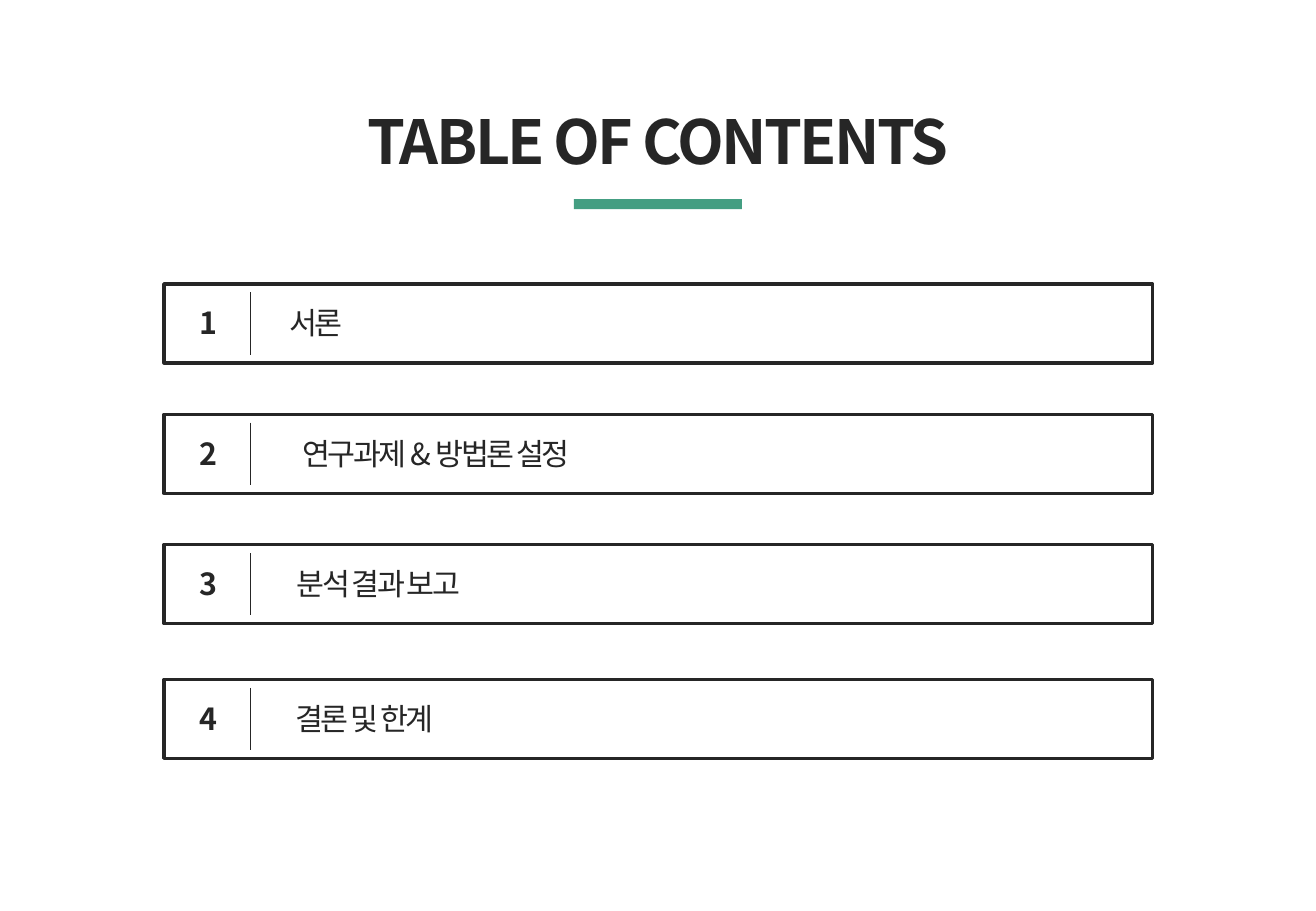
"""Build a table of contents slide with four numbered chapter rows."""
from dataclasses import dataclass

from lxml import etree
from pptx import Presentation
from pptx.dml.color import RGBColor
from pptx.enum.shapes import MSO_CONNECTOR, MSO_SHAPE
from pptx.enum.text import PP_ALIGN
from pptx.oxml.ns import qn
from pptx.shapes.autoshape import Shape
from pptx.slide import Slide
from pptx.util import Pt

RECTANGLE = MSO_SHAPE.RECTANGLE
STRAIGHT = MSO_CONNECTOR.STRAIGHT
LEFT = PP_ALIGN.LEFT
CENTER = PP_ALIGN.CENTER

INK = RGBColor(0x26, 0x26, 0x26)
GREEN = RGBColor(0x44, 0x9E, 0x82)
WHITE = RGBColor(0xFF, 0xFF, 0xFF)
FONT = "Noto Sans CJK KR"
LETTER_SPACING = "-150"

ROW_LEFT, ROW_WIDTH, ROW_HEIGHT = 97.2, 586, 46.8
DIVIDER_LEFT, DIVIDER_INSET, DIVIDER_HEIGHT = 148.4, 5, 36.9
NUMBER_LEFT, NUMBER_WIDTH = 110.9, 24.5
LABEL_INSET, LABEL_HEIGHT = 8.7, 29


@dataclass(frozen=True)
class Chapter:
    title: str
    top: float
    title_left: float
    title_width: float


CHAPTERS = (
    Chapter("서론", 168.3, 164.2, 46),
    Chapter("연구과제 & 방법론 설정", 245.6, 172.2, 190),
    Chapter("분석 결과 보고", 322.8, 168.8, 113),
    Chapter("결론 및 한계", 402.7, 168, 98.6),
)


def add_label(slide: Slide, text: str, left: float, top: float, width: float,
              height: float, size: float, bold: bool = False,
              align: PP_ALIGN = LEFT) -> None:
    label = slide.shapes.add_textbox(Pt(left), Pt(top), Pt(width), Pt(height))
    label.text_frame.word_wrap = False
    paragraph = label.text_frame.paragraphs[0]
    paragraph.text = text
    paragraph.alignment = align
    font = paragraph.font
    font.name = FONT
    font.size = Pt(size)
    font.bold = bold
    font.color.rgb = INK
    properties = paragraph._p.get_or_add_pPr().get_or_add_defRPr()
    properties.set("spc", LETTER_SPACING)
    etree.SubElement(properties, qn("a:ea")).set("typeface", FONT)


def add_box(slide: Slide, left: float, top: float, width: float,
            height: float, fill: RGBColor) -> Shape:
    box = slide.shapes.add_shape(RECTANGLE, Pt(left), Pt(top), Pt(width), Pt(height))
    box.shadow.inherit = False
    box.fill.solid()
    box.fill.fore_color.rgb = fill
    box.line.fill.background()
    return box


def add_divider(slide: Slide, left: float, top: float, height: float) -> None:
    divider = slide.shapes.add_connector(
        STRAIGHT, Pt(left), Pt(top), Pt(left), Pt(top + height))
    divider.line.color.rgb = INK
    divider.line.width = Pt(0.75)
    etree.SubElement(divider._element.spPr, qn("a:effectLst"))


def add_chapter(slide: Slide, number: int, chapter: Chapter) -> None:
    frame = add_box(slide, ROW_LEFT, chapter.top, ROW_WIDTH, ROW_HEIGHT, WHITE)
    frame.line.color.rgb = INK
    frame.line.width = Pt(2)
    add_divider(slide, DIVIDER_LEFT, chapter.top + DIVIDER_INSET, DIVIDER_HEIGHT)
    label_top = chapter.top + LABEL_INSET
    add_label(slide, chapter.title, chapter.title_left, label_top,
              chapter.title_width, LABEL_HEIGHT, 18)
    add_label(slide, str(number), NUMBER_LEFT, label_top,
              NUMBER_WIDTH, LABEL_HEIGHT, 18, bold=True)


def main() -> None:
    presentation = Presentation()
    presentation.slide_width = Pt(780)
    presentation.slide_height = Pt(540)
    slide = presentation.slides.add_slide(presentation.slide_layouts[6])
    add_label(slide, "TABLE OF CONTENTS", 210.4, 58, 359.3, 50.4, 36,
              bold=True, align=CENTER)
    add_box(slide, 340.2, 118, 99.5, 6, GREEN)
    for number, chapter in enumerate(CHAPTERS, start=1):
        add_chapter(slide, number, chapter)
    presentation.save("out.pptx")


if __name__ == "__main__":
    main()
